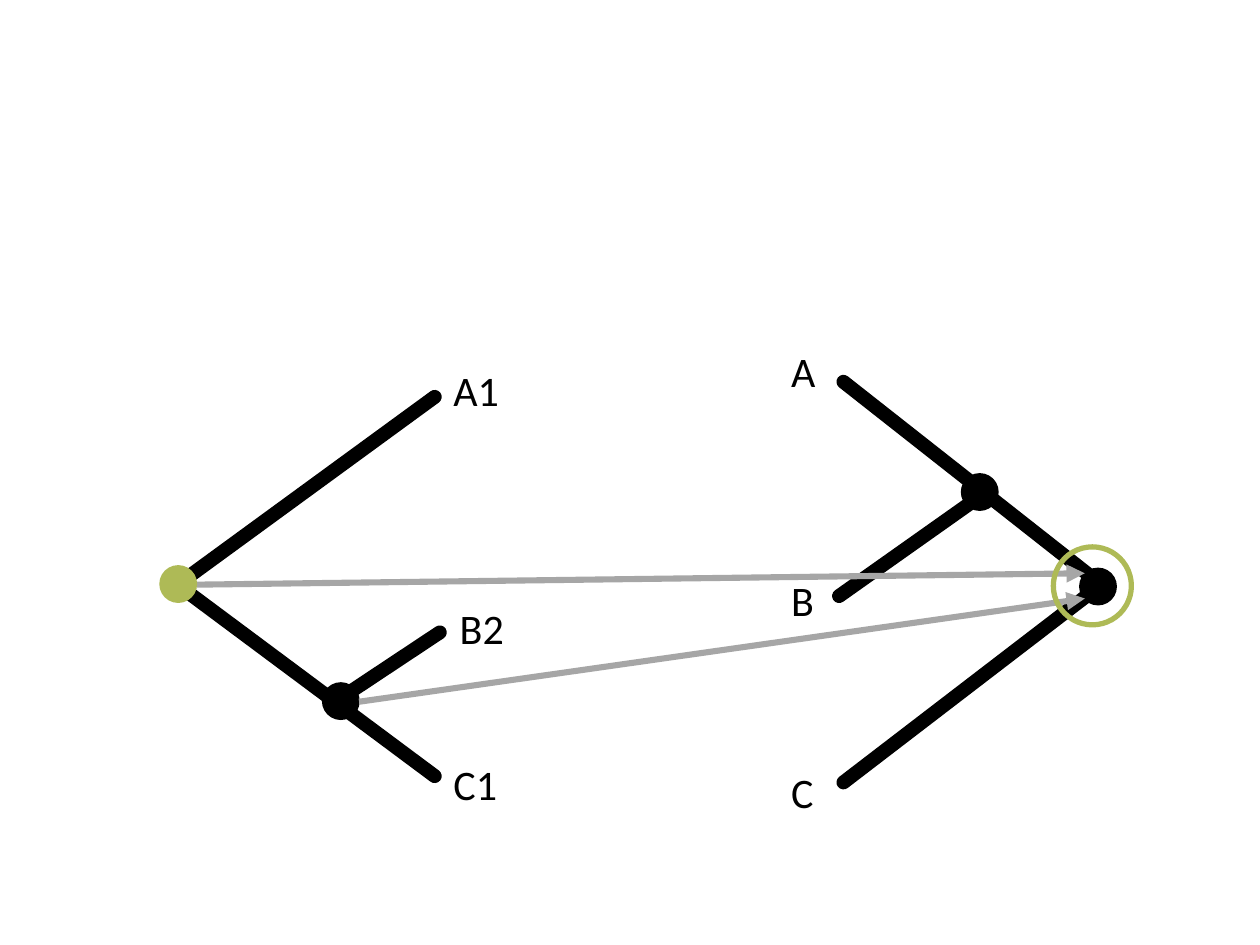
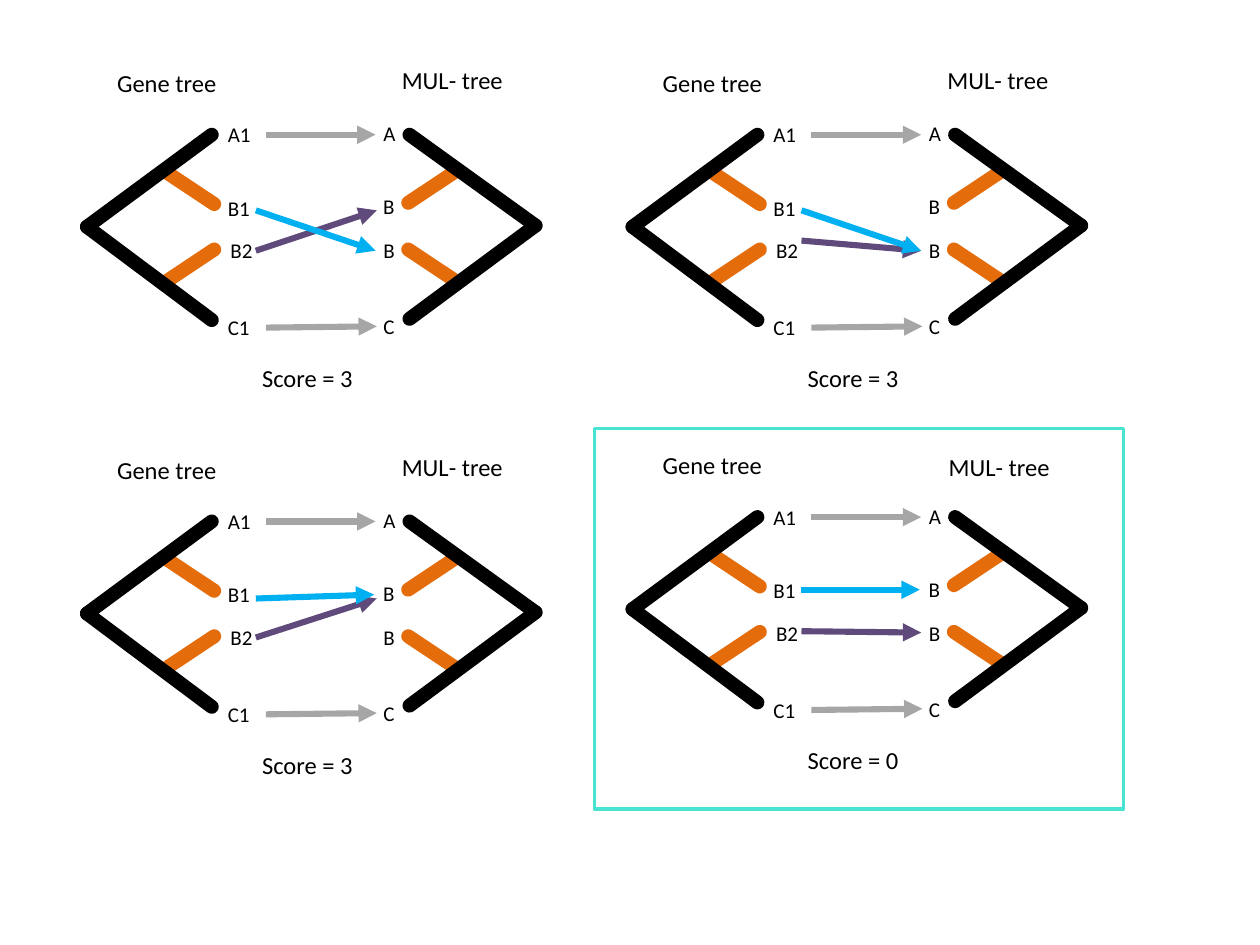
from dataclasses import dataclass

from lxml import etree
from pptx import Presentation
from pptx.dml import color
from pptx.enum import shapes, text
from pptx.oxml import ns
from pptx.util import Pt


@dataclass(frozen=True)
class Theme:
    font: str = "Calibri"
    ink: str = "000000"
    green: str = "AEBA56"
    grey: str = "A6A6A6"
    orange: str = "E46C0A"
    purple: str = "604A7B"
    blue: str = "00B0F0"
    frame: str = "49E3D1"
    large: int = 24
    heading: int = 14
    small: int = 12
    branch: float = 8
    arrow: float = 3.5


T = Theme()

BIG_BRANCHES = [
    ((193.7, 399.6), (251.3, 361.4)),
    ((101.5, 334.1), (248.4, 443.5)),
    ((101.5, 334.1), (248.4, 226.8)),
    ((560.9, 283), (479.5, 340.6)),
    ((629.3, 334.1), (482, 218.2)),
    ((629.3, 334.1), (482, 447.1)),
]
BIG_LABELS = [
    ("C1", 252, 429.8, 46.8), ("B2", 255.6, 340.6, 43.9), ("A1", 252, 204.5, 41),
    ("A", 445, 193.7, 18), ("B", 445, 324.7, 18), ("C", 445, 434.2, 18),
]
NODE_SIZE = 20.9
NODES = [(184.3, 390.2), (549.4, 270.7), (617, 324.7)]
ROOT_NODE = (91.4, 323.3)
BIG_ARROWS = [((112.3, 334.1), (619.9, 327.6)), ((205.2, 401), (619.9, 342))]
RING = (601.9, 312.5, 44.6, 44.6)

TREE_BRANCHES = [
    (T.orange, (94.3, 161.3), (122.4, 142.6)),
    (T.ink, (49.7, 129.6), (121, 182.9)),
    (T.orange, (122.4, 116.6), (94.3, 97.9)),
    (T.ink, (49.7, 129.6), (121, 77)),
    (T.orange, (233.3, 115.9), (261.4, 97.2)),
    (T.orange, (261.4, 161.3), (233.3, 142.6)),
    (T.ink, (306, 128.9), (234, 182.2)),
    (T.ink, (306, 128.9), (234, 77)),
]
TREE_LABELS = [
    ("C1", 123.1, 176.4, 28.8), ("B2", 124.6, 132.5, 37.4),
    ("A1", 123.1, 66.2, 28.8), ("B1", 123.1, 108, 32.4),
    ("C", 215.3, 175.7, 10.8), ("B", 214.6, 132.5, 11.5),
    ("A", 214.6, 65.5, 11.5), ("B", 213.8, 107.3, 12.2),
]
FIXED_ARROWS = [
    (T.grey, (151.9, 77), (214.6, 77)),
    (T.grey, (151.9, 187.2), (215.3, 186.5)),
]
B_START = 146.2
PANELS = [
    dict(at=(0, 0), mul=(0, 0), score="Score = 3", score_h=50.4,
         b2=(143.3, 215.3, 120.2), b1=(120.2, 214.6, 143.3)),
    dict(at=(0, 221), mul=(0, 0), score="Score = 3", score_h=50.4,
         b2=(143.3, 215.3, 121), b1=(121, 213.8, 118.8)),
    dict(at=(311.8, 0), mul=(0, 0), score="Score = 3", score_h=50.4,
         b2=(137.5, 214.6, 143.3), b1=(120.2, 214.6, 143.3)),
    dict(at=(311.8, 218.5), mul=(0.7, 2.5), score="Score = 0", score_h=24.5,
         b2=(142.2, 214.6, 143), b1=(118.5, 213.8, 118.5)),
]
BEST_FRAME = (339.8, 244.8, 302.4, 217.4)


def rgb(value):
    return color.RGBColor.from_string(value)


def add_line(s, start, end, colour, width, arrow=False, shift=(0, 0)):
    points = [Pt(c + d) for point in (start, end) for c, d in zip(point, shift)]
    sp = s.shapes.add_connector(shapes.MSO_CONNECTOR.STRAIGHT, *points)
    sp.line.color.rgb = rgb(colour)
    sp.line.width = Pt(width)
    ln = sp.line._get_or_add_ln()
    if arrow:
        etree.SubElement(ln, ns.qn("a:tailEnd"), type="triangle")
    else:
        ln.set("cap", "rnd")
        etree.SubElement(ln, ns.qn("a:round"))
    etree.SubElement(sp._element.spPr, ns.qn("a:effectLst"))


def add_label(s, words, x, y, w, h, size, wrap=True, centred=False):
    tf = s.shapes.add_textbox(Pt(x), Pt(y), Pt(w), Pt(h)).text_frame
    tf.word_wrap = wrap
    tf.auto_size = text.MSO_AUTO_SIZE.SHAPE_TO_FIT_TEXT
    p = tf.paragraphs[0]
    if centred:
        p.alignment = text.PP_ALIGN.CENTER
    r = p.add_run()
    r.text = words
    r.font.name = T.font
    r.font.size = Pt(size)
    r.font.color.rgb = rgb(T.ink)


def add_outline(s, kind, box, line, width, fill=None):
    sp = s.shapes.add_shape(kind, *map(Pt, box))
    sp.shadow.inherit = False
    if fill:
        sp.fill.solid()
        sp.fill.fore_color.rgb = rgb(fill)
    else:
        sp.fill.background()
    sp.line.color.rgb = rgb(line)
    sp.line.width = Pt(width)


def add_node(s, at, colour):
    box = (*at, NODE_SIZE, NODE_SIZE)
    add_outline(s, shapes.MSO_SHAPE.OVAL, box, colour, 0.75, colour)


def build_mapping(s):
    for start, end in BIG_BRANCHES:
        add_line(s, start, end, T.ink, T.branch)
    for words, x, y, w in BIG_LABELS:
        add_label(s, words, x, y, w, 36, T.large)
    for at in NODES:
        add_node(s, at, T.ink)
    for start, end in BIG_ARROWS:
        add_line(s, start, end, T.grey, T.arrow, arrow=True)
    add_outline(s, shapes.MSO_SHAPE.OVAL, RING, T.green, 3)
    add_node(s, ROOT_NODE, T.green)


def build_panel(s, panel):
    dx, dy = panel["at"]
    mx, my = panel["mul"]
    add_label(s, "MUL- tree", 222.5 + dx + mx, 33.8 + dy + my, 72.7, 24.5, T.heading, wrap=False)
    add_label(s, "Gene tree", 59.8 + dx, 35.3 + dy, 71.3, 24.5, T.heading, wrap=False)
    for colour, start, end in TREE_BRANCHES:
        add_line(s, start, end, colour, T.branch, shift=(dx, dy))
    for words, x, y, w in TREE_LABELS:
        add_label(s, words, x + dx, y + dy, w, 21.6, T.small)
    b_arrows = [(colour, (B_START, y), (end_x, end_y))
                for colour, (y, end_x, end_y) in ((T.purple, panel["b2"]), (T.blue, panel["b1"]))]
    for colour, start, end in FIXED_ARROWS + b_arrows:
        add_line(s, start, end, colour, T.arrow, arrow=True, shift=(dx, dy))
    add_label(s, panel["score"], 136.1 + dx, 203.8 + dy, 79.2, panel["score_h"],
              T.heading, centred=True)


prs = Presentation()
prs.slide_width, prs.slide_height = Pt(720), Pt(540)
blank = prs.slide_layouts[6]

build_mapping(prs.slides.add_slide(blank))

scores = prs.slides.add_slide(blank)
for panel in PANELS:
    build_panel(scores, panel)
add_outline(scores, shapes.MSO_SHAPE.RECTANGLE, BEST_FRAME, T.frame, 2)

prs.save("out.pptx")
